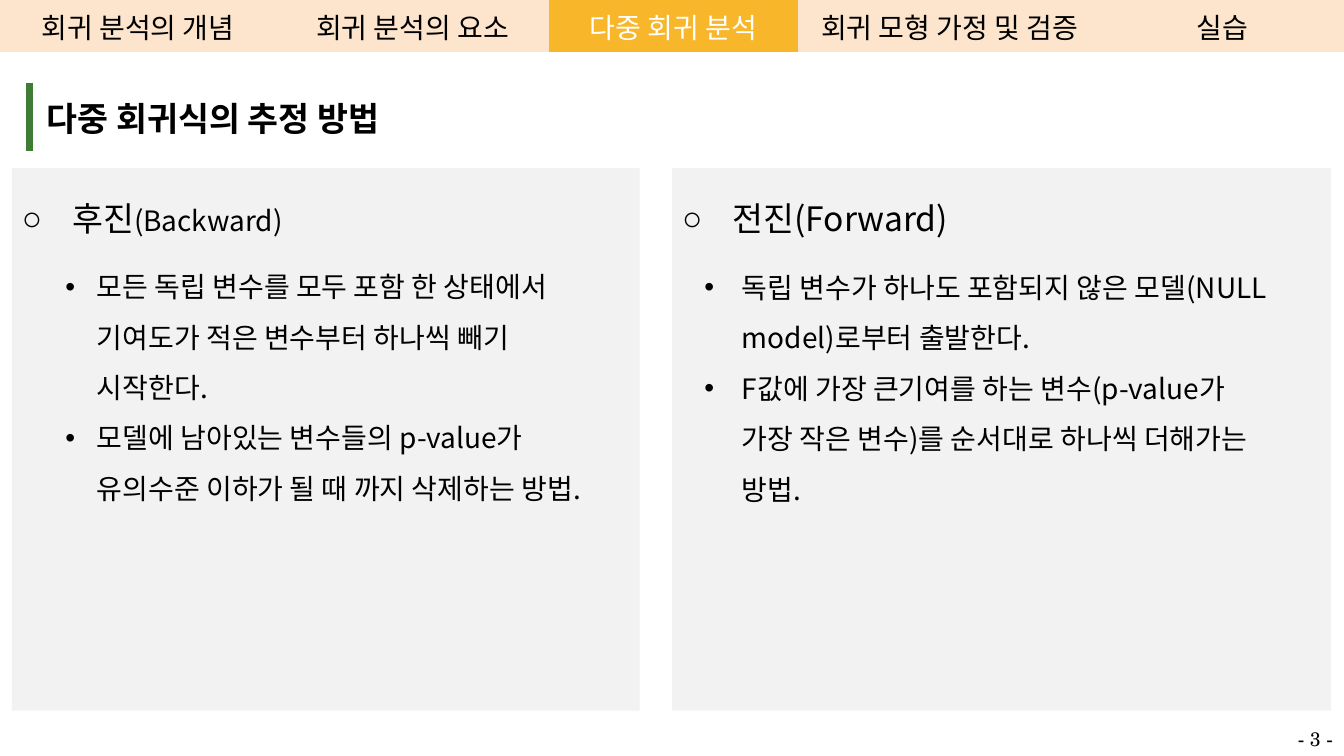
from lxml.etree import SubElement
from pptx import Presentation
from pptx.dml.color import RGBColor
from pptx.enum.shapes import MSO_SHAPE
from pptx.enum.text import MSO_ANCHOR, MSO_AUTO_SIZE as AutoSize, PP_ALIGN
from pptx.oxml import parse_xml
from pptx.oxml.ns import nsdecls, qn
from pptx.util import Cm, Pt

BLACK = RGBColor(0x00, 0x00, 0x00)
WHITE = RGBColor(0xFF, 0xFF, 0xFF)
PANEL_GREY = RGBColor(0xF2, 0xF2, 0xF2)
TAB_CREAM = RGBColor(0xFC, 0xE5, 0xCC)
TAB_ORANGE = RGBColor(0xF8, 0xB6, 0x2A)
TITLE_GREEN = RGBColor(0x3E, 0x7D, 0x33)

KOREAN_FONT = "Noto Sans CJK KR"
NUMBER_FONT = "TeX Gyre Schola"
BULLET_FONT = "Arial"
NO_TABLE_STYLE = "{2D5ABB26-0587-4C30-8999-92F81FD0307C}"

TABS = [("회귀 분석의 개념", 6.96), ("회귀 분석의 요소", 6.88), ("다중 회귀 분석", 6.27),
        ("회귀 모형 가정 및 검증", 7.65), ("실습", 6.1)]
ACTIVE_TAB = "다중 회귀 분석"

BACKWARD_POINTS = [
    "모든 독립 변수를 모두 포함 한 상태에서 기여도가 적은 변수부터 하나씩 빼기 시작한다.",
    "모델에 남아있는 변수들의 p-value가 유의수준 이하가 될 때 까지 삭제하는 방법.",
]
FORWARD_POINTS = [
    "독립 변수가 하나도 포함되지 않은 모델(NULL model)로부터 출발한다.",
    "F값에 가장 큰기여를 하는 변수(p-value가 가장 작은 변수)를 순서대로 하나씩 더해가는 방법.",
]


def add_text(paragraph, text, size=20, color=BLACK, bold=False, font=KOREAN_FONT,
             align=PP_ALIGN.LEFT):
    paragraph.alignment = align
    run = paragraph.add_run()
    run.text = text
    run.font.size = Pt(size)
    run.font.bold = bold
    run.font.color.rgb = color
    run.font.name = font
    SubElement(run.font._element, qn("a:ea"), typeface=font)


def set_bullet(paragraph, character, indent):
    """Give the paragraph a hanging bullet and 1.5 line spacing."""
    paragraph.line_spacing = 1.5
    properties = paragraph._p.get_or_add_pPr()
    properties.set("marL", str(Cm(indent)))
    properties.set("indent", str(-Cm(indent)))
    color = SubElement(properties, qn("a:buClr"))
    SubElement(color, qn("a:srgbClr"), val=str(BLACK))
    SubElement(properties, qn("a:buFont"), typeface=BULLET_FONT)
    SubElement(properties, qn("a:buChar"), char=character)


def set_margins(target, left, top, right, bottom):
    target.margin_left, target.margin_top = Cm(left), Cm(top)
    target.margin_right, target.margin_bottom = Cm(right), Cm(bottom)


def add_plain_row(slide, left, top, widths, height):
    """Add a one-row table without style and return it."""
    table = slide.shapes.add_table(1, len(widths), Cm(left), Cm(top),
                                   Cm(sum(widths)), Cm(height)).table
    table.first_row = table.horz_banding = False
    table._tbl.tblPr.find(qn("a:tableStyleId")).text = NO_TABLE_STYLE
    for column, width in zip(table.columns, widths):
        column.width = Cm(width)
    return table


def add_tab_bar(slide, left, top, height):
    table = add_plain_row(slide, left, top, [width for _, width in TABS], height)
    for cell, (label, _) in zip(table.rows[0].cells, TABS):
        active = label == ACTIVE_TAB
        cell.fill.solid()
        cell.fill.fore_color.rgb = TAB_ORANGE if active else TAB_CREAM
        cell.vertical_anchor = MSO_ANCHOR.MIDDLE
        set_margins(cell, 0.1, 0.1, 0.1, 0.1)
        add_text(cell.text_frame.paragraphs[0], label,
                 color=WHITE if active else BLACK, align=PP_ALIGN.CENTER)


def add_title(slide, left, top, width, height):
    cell = add_plain_row(slide, left, top, [width], height).cell(0, 0)
    cell.fill.background()
    set_margins(cell, 0.25, 0.25, 0.25, 0.25)
    add_text(cell.text_frame.paragraphs[0], " 다중 회귀식의 추정 방법", size=24, bold=True)
    border = parse_xml(
        f'<a:lnL {nsdecls("a")} w="{Pt(6)}"><a:solidFill>'
        f'<a:srgbClr val="{TITLE_GREEN}"/></a:solidFill></a:lnL>')
    cell._tc.get_or_add_tcPr().insert(0, border)


def add_method_panel(slide, left, top, width, height, heading, points,
                     inset, body_top, body_width, body_height, indent):
    """Add a grey panel with heading runs and a bulleted body inside it."""
    panel = slide.shapes.add_shape(MSO_SHAPE.RECTANGLE, Cm(left), Cm(top),
                                   Cm(width), Cm(height))
    panel.shadow.inherit = False
    panel.fill.solid()
    panel.fill.fore_color.rgb = PANEL_GREY
    panel.line.fill.background()
    frame = panel.text_frame
    frame.word_wrap = True
    frame.vertical_anchor = MSO_ANCHOR.TOP
    set_margins(frame, 0.25, 0.25, 0.25, 0.13)
    set_bullet(frame.paragraphs[0], "○", 1.27)
    for text, size in heading:
        add_text(frame.paragraphs[0], text, size=size)

    body = slide.shapes.add_textbox(Cm(left + inset), Cm(top + body_top),
                                    Cm(body_width), Cm(body_height)).text_frame
    body.word_wrap = True
    body.auto_size = AutoSize.SHAPE_TO_FIT_TEXT
    for index, point in enumerate(points):
        paragraph = body.add_paragraph() if index else body.paragraphs[0]
        set_bullet(paragraph, "•", indent)
        add_text(paragraph, point)


def add_page_number(slide, left, top, width, height):
    frame = slide.shapes.add_textbox(Cm(left), Cm(top), Cm(width), Cm(height)).text_frame
    frame.word_wrap = False
    frame.auto_size = AutoSize.SHAPE_TO_FIT_TEXT
    add_text(frame.paragraphs[0], "- 3 -", size=14, font=NUMBER_FONT)


def main():
    presentation = Presentation()
    presentation.slide_width, presentation.slide_height = Cm(33.87), Cm(19.05)
    slide = presentation.slides.add_slide(presentation.slide_layouts[6])
    add_tab_bar(slide, 0, 0, 1.32)
    add_title(slide, 0.74, 2.08, 32.82, 1.1)
    add_method_panel(slide, 0.3, 4.24, 15.82, 13.67,
                     [("후진", 24), ("(Backward)", 20)], BACKWARD_POINTS,
                     inset=1.1, body_top=2.01, body_width=13.31, body_height=5.26,
                     indent=0.79)
    add_method_panel(slide, 16.94, 4.24, 16.61, 13.67,
                     [("전진(Forward)", 24)], FORWARD_POINTS,
                     inset=0.56, body_top=2.03, body_width=14.99, body_height=5.99,
                     indent=0.95)
    add_page_number(slide, 32.46, 18.19, 1.4, 0.86)
    presentation.save("out.pptx")


if __name__ == "__main__":
    main()
